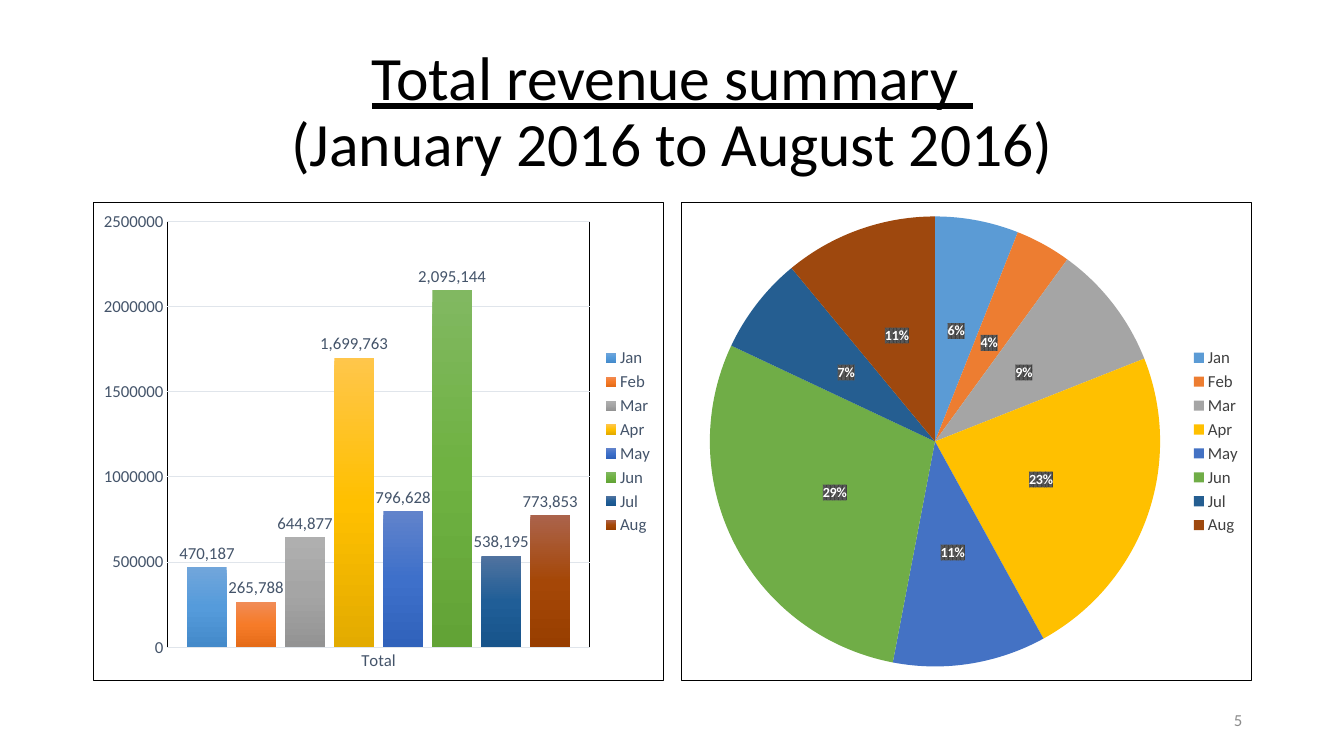
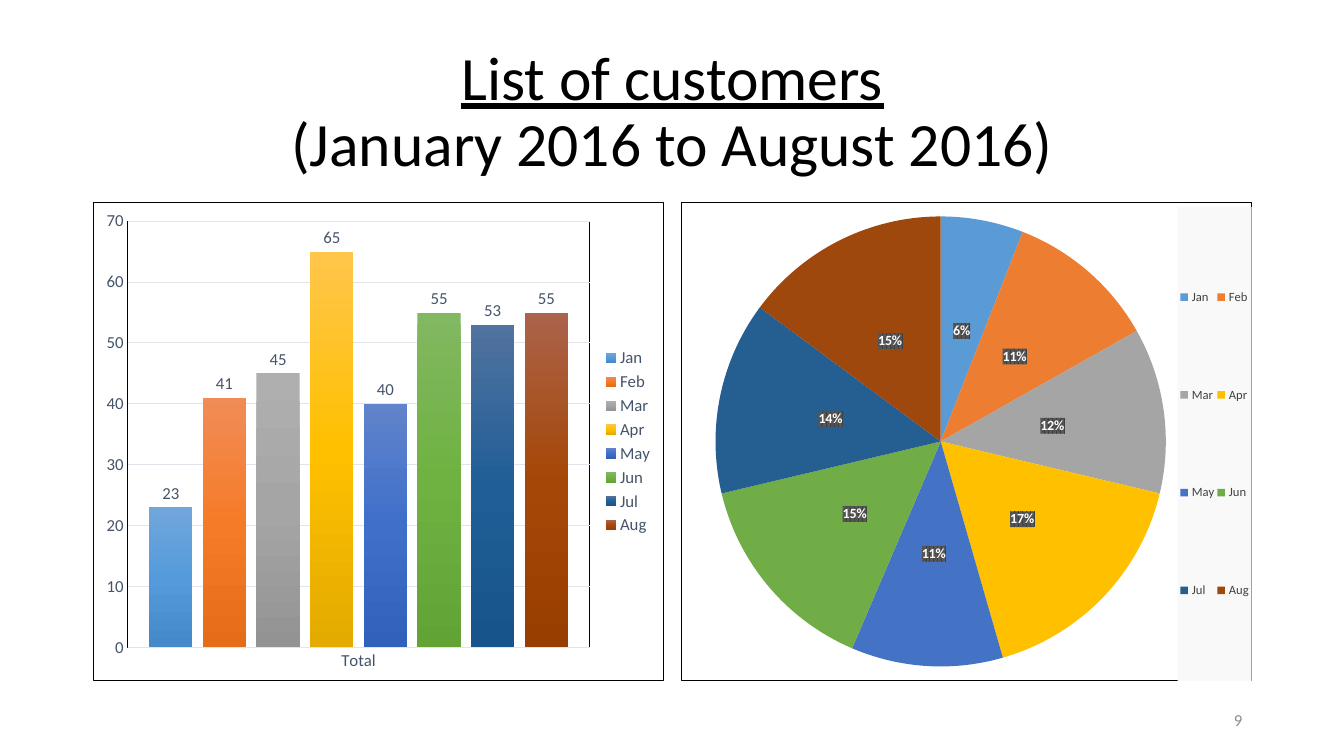
import pptx
import pptx.util
import pptx.oxml
import pptx.oxml.ns
import pptx.chart.data
import pptx.dml.color
import pptx.enum.chart
import pptx.enum.text

Inches, Pt = pptx.util.Inches, pptx.util.Pt
RGB = pptx.dml.color.RGBColor
XL = pptx.enum.chart
TX = pptx.enum.text

# Content; layouts are x, y, width, height as parts of the chart
MONTHS = ["Jan", "Feb", "Mar", "Apr", "May", "Jun", "Jul", "Aug"]
SPAN = "(January 2016 to August 2016)"
PAGES = [
    {"head": "Total revenue summary ", "page": "5",
     "cols": [470187, 265788, 644877, 1699763, 796628, 2095144, 538195, 773853],
     "top": 2500000, "step": 500000, "plot": (0.13, 0.04, 0.74, 0.89),
     "share": [6, 4, 9, 23, 11, 29, 7, 11], "pie": (0.05, 0.03, 0.79, 0.94),
     "key": 12, "side": None},
    {"head": "List of customers", "page": "9",
     "cols": [23, 41, 45, 65, 40, 55, 53, 55],
     "top": 70, "step": 10, "plot": (0.06, 0.04, 0.81, 0.89),
     "share": [6, 11, 12, 17, 11, 15, 14, 15], "pie": (0.06, 0.03, 0.79, 0.94),
     "key": 9, "side": (0.87, 0.01, 0.13, 0.99)},
]

# Shared style
FONT = "Calibri"
BLACK, WHITE = RGB(0, 0, 0), RGB(255, 255, 255)
SLATE = RGB(0x44, 0x54, 0x6A)
PALE = RGB(0xE0, 0xE5, 0xEB)
DARK = RGB(0x40, 0x40, 0x40)
GREY = RGB(0x8C, 0x8C, 0x8C)
SLICES = [RGB.from_string(c) for c in (
    "5B9BD5", "ED7D31", "A5A5A5", "FFC000", "4472C4", "70AD47", "255E91", "9E480E")]
FADES = [
    ("71A6DB", "559BDB", "448ACA"), ("F18C57", "F67B28", "E56C19"),
    ("AFAFAF", "A5A5A5", "939393"), ("FFC64B", "FFC000", "E3AB00"),
    ("6183CB", "3E70CA", "3062BB"), ("81B861", "6FB242", "62A336"),
    ("51739F", "205E97", "17548B"), ("AB634B", "A54707", "983E00")]
LEFT, WIDE = 0.92, 11.5
TOP, SIZE = 2, (5.67, 4.76)
RIGHT = LEFT + WIDE - SIZE[0]

NS = pptx.oxml.ns.nsdecls("a", "c")
BORDER = ('<a:noFill/><a:ln w="9525"><a:solidFill><a:srgbClr val="000000"/>'
          '</a:solidFill></a:ln>')
HATCH = ('<a:pattFill prst="pct75"><a:fgClr><a:srgbClr val="404040"/></a:fgClr>'
         '<a:bgClr><a:srgbClr val="595959"/></a:bgClr></a:pattFill>')
PANEL = '<a:solidFill><a:srgbClr val="F9F9F9"/></a:solidFill>'


def style(font, size, color, bold=False):
    font.name, font.size, font.bold = FONT, Pt(size), bold
    font.color.rgb = color


def rule(line, color):
    line.color.rgb = color
    line.width = Pt(0.75)


def shape_xml(inner):
    return pptx.oxml.parse_xml(f"<c:spPr {NS}>{inner}</c:spPr>")


def layout_xml(area, inner=False):
    target = '<c:layoutTarget val="inner"/>' if inner else ""
    sides = "".join(f'<c:{n} val="{v}"/>' for n, v in zip("xywh", area))
    return pptx.oxml.parse_xml(
        f"<c:layout {NS}><c:manualLayout>{target}<c:xMode val=\"edge\"/>"
        f"<c:yMode val=\"edge\"/>{sides}</c:manualLayout></c:layout>")


def place(node, layout, spot):
    for old in node.xpath("c:layout"):
        node.remove(old)
    node.insert(spot, layout)


def add_text(slide, box, align, lines, size, color):
    """Lines are (text, underline) pairs in one paragraph."""
    frame = slide.shapes.add_textbox(*map(Inches, box)).text_frame
    frame.word_wrap = True
    frame.vertical_anchor = TX.MSO_ANCHOR.MIDDLE
    para = frame.paragraphs[0]
    para.alignment = align
    para.line_spacing = 0.9
    for i, (text, under) in enumerate(lines):
        if i:
            para.add_line_break()
        run = para.add_run()
        run.text = text
        style(run.font, size, color)
        run.font.underline = under


def add_chart(slide, kind, left, data, plot, key, tint):
    """Make a bordered chart with a legend at the right."""
    chart = slide.shapes.add_chart(
        kind, Inches(left), Inches(TOP), *map(Inches, SIZE), data).chart
    chart.has_title = False
    style(chart.font, 10, BLACK)
    chart.has_legend = True
    chart.legend.position = XL.XL_LEGEND_POSITION.RIGHT
    chart.legend.include_in_layout = False
    style(chart.legend.font, key, tint)
    root = chart.element
    body = root.xpath("c:chart")[0]
    body.addnext(shape_xml(BORDER))
    if not root.xpath("c:roundedCorners"):
        body.addprevious(pptx.oxml.parse_xml(f'<c:roundedCorners {NS} val="0"/>'))
    place(root.xpath("c:chart/c:plotArea")[0], layout_xml(plot, True), 0)
    return chart


def add_columns(slide, page):
    data = pptx.chart.data.CategoryChartData()
    data.categories = ["Total"]
    for month, value in zip(MONTHS, page["cols"]):
        data.add_series(month, [value])
    chart = add_chart(slide, XL.XL_CHART_TYPE.COLUMN_CLUSTERED, LEFT, data,
                      page["plot"], 12, SLATE)
    plot = chart.plots[0]
    plot.gap_width, plot.overlap = 100, -24
    plot.vary_by_categories = False

    # Axes and plot frame
    cat, val = chart.category_axis, chart.value_axis
    for axis in (cat, val):
        axis.major_tick_mark = axis.minor_tick_mark = XL.XL_TICK_MARK.NONE
        style(axis.tick_labels.font, 12, SLATE)
    rule(cat.format.line, PALE)
    val.format.line.fill.background()
    val.has_major_gridlines = True
    rule(val.major_gridlines.format.line, PALE)
    val.minimum_scale, val.maximum_scale = 0, page["top"]
    val.major_unit = page["step"]
    val.tick_labels.number_format = "General"
    val.tick_labels.number_format_is_linked = False
    chart.element.xpath("c:chart/c:plotArea")[0].append(shape_xml(BORDER))

    # Faded bars with their values
    for series, fade in zip(plot.series, FADES):
        series.format.fill.gradient()
        series.format.fill.gradient_angle = 270
        stops = "".join(f'<a:gs pos="{i * 50000}"><a:srgbClr val="{c}"/></a:gs>'
                        for i, c in enumerate(fade))
        old = series.format.fill.gradient_stops and series._element.xpath(
            "c:spPr/a:gradFill")[0]
        old.getparent().replace(old, pptx.oxml.parse_xml(
            f'<a:gradFill {NS}><a:gsLst>{stops}</a:gsLst>'
            '<a:lin ang="5400000" scaled="0"/></a:gradFill>'))
        labels = series.data_labels
        labels.show_value = True
        labels.number_format = "#,##0"
        labels.number_format_is_linked = False
        labels.position = XL.XL_LABEL_POSITION.OUTSIDE_END
        style(labels.font, 12, SLATE)


def add_pie(slide, page):
    data = pptx.chart.data.CategoryChartData()
    data.categories = MONTHS
    data.add_series("Series 1", page["share"])
    chart = add_chart(slide, XL.XL_CHART_TYPE.PIE, RIGHT, data,
                      page["pie"], page["key"], DARK)
    plot = chart.plots[0]
    plot.vary_by_categories = True
    series = plot.series[0]
    for i, color in enumerate(SLICES):
        fill = series.points[i].format.fill
        fill.solid()
        fill.fore_color.rgb = color

    # Percent labels on dark tags
    labels = series.data_labels
    labels.show_value = False
    labels.show_percentage = True
    labels.number_format = "0%"
    labels.number_format_is_linked = False
    labels.position = XL.XL_LABEL_POSITION.CENTER
    style(labels.font, 10, WHITE, True)
    series._element.xpath("c:dLbls/c:txPr")[0].addprevious(shape_xml(HATCH))

    # Legend panel
    if page["side"]:
        legend = chart.element.xpath("c:chart/c:legend")[0]
        place(legend, layout_xml(page["side"]), 1)
        legend.xpath("c:txPr")[0].addprevious(shape_xml(PANEL))


def main():
    deck = pptx.Presentation()
    deck.slide_width, deck.slide_height = Inches(13.33), Inches(7.5)
    for page in PAGES:
        slide = deck.slides.add_slide(deck.slide_layouts[6])
        add_text(slide, (LEFT, 0.4, WIDE, 1.45), TX.PP_ALIGN.CENTER,
                 [(page["head"], True), (SPAN, False)], 44, BLACK)
        add_columns(slide, page)
        add_pie(slide, page)
        add_text(slide, (9.42, 6.95, 3, 0.4), TX.PP_ALIGN.RIGHT,
                 [(page["page"], False)], 12, GREY)
    deck.save("out.pptx")


if __name__ == "__main__":
    main()
